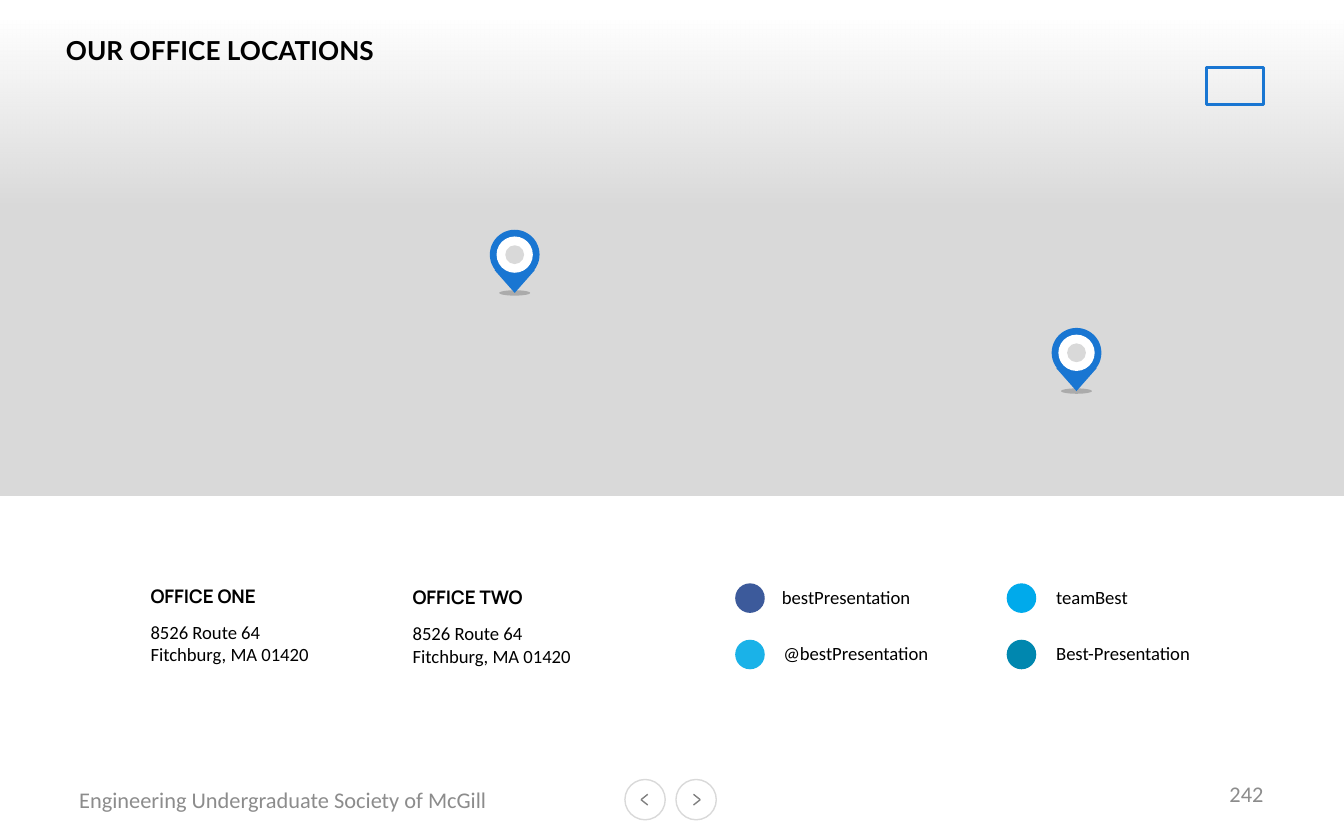
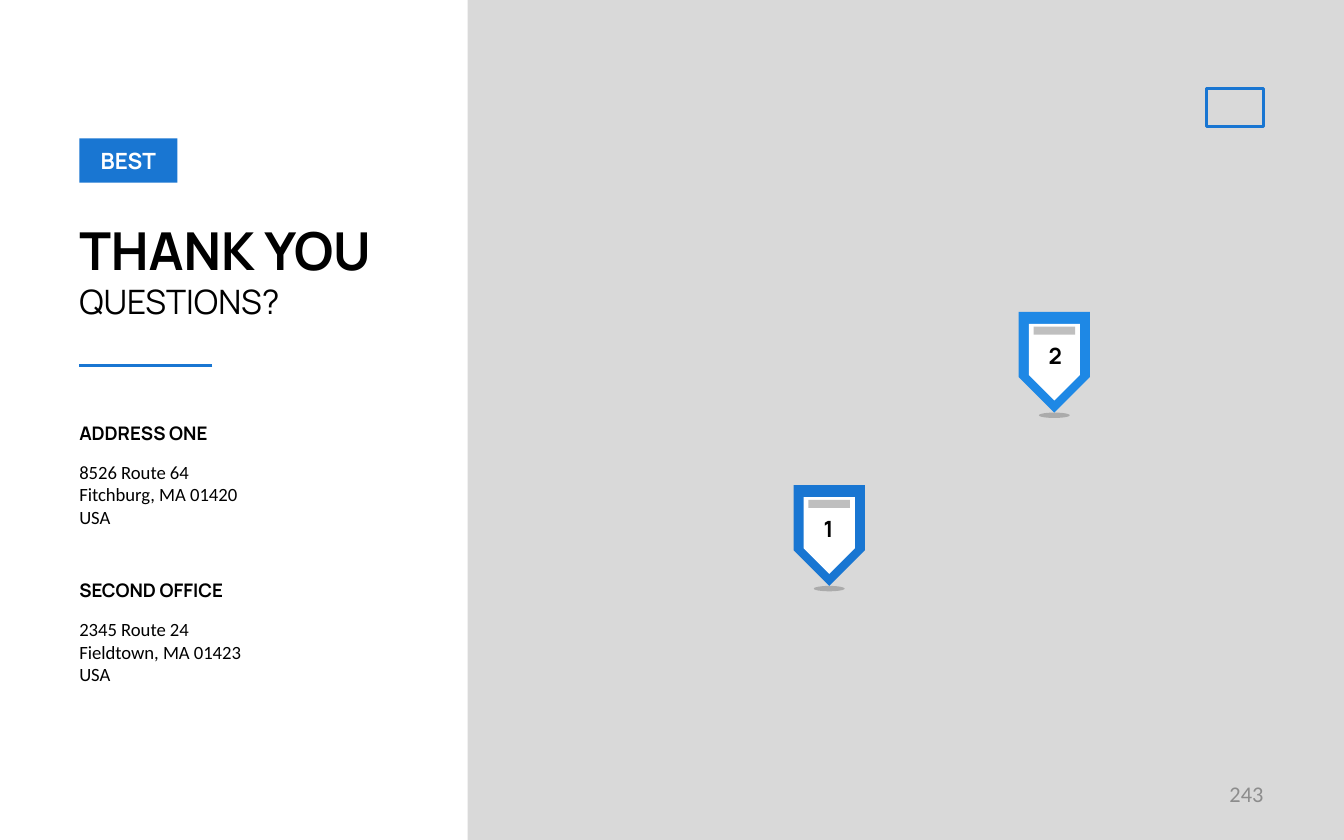
from dataclasses import dataclass

import pptx
import pptx.dml.color
import pptx.enum.dml
import pptx.enum.shapes
import pptx.enum.text
import pptx.oxml
import pptx.oxml.ns
import pptx.util
from lxml import etree

RGB = pptx.dml.color.RGBColor
Shape = pptx.enum.shapes.MSO_SHAPE
Anchor = pptx.enum.text.MSO_ANCHOR
Align = pptx.enum.text.PP_ALIGN
qn = pptx.oxml.ns.qn

BLACK = RGB(0x00, 0x00, 0x00)
WHITE = RGB(0xFF, 0xFF, 0xFF)
BLUE = RGB(0x19, 0x76, 0xD2)
SKY = RGB(0x1E, 0x88, 0xE5)
MAP = RGB(0xD9, 0xD9, 0xD9)
BAR = RGB(0xBF, 0xBF, 0xBF)
ARROW = RGB(0x80, 0x80, 0x80)
FOOT = RGB(0x8C, 0x8C, 0x8C)

# The slide is a grid of square cells, 100 columns by 62.5 rows.
CELL = pptx.util.Inches(0.1)
COLS, ROWS = 100, 62.5

PAD = (1, 0.5, 1, 0.5)
FLUSH = (0, 0.5, 1, 0.5)
BARE = (0, 0, 0, 0)


def grid(count: float) -> int:
    return pptx.util.Emu(round(count * CELL))


@dataclass(frozen=True)
class Box:
    left: float
    top: float
    wide: float
    high: float

    def place(self) -> tuple[int, ...]:
        return tuple(map(grid, (self.left, self.top, self.wide, self.high)))


@dataclass(frozen=True)
class Style:
    font: str
    size: float
    color: RGB
    bold: bool = False


@dataclass(frozen=True)
class Office:
    name: str
    lines: tuple[str, ...]
    left: float
    top: float
    wide: float
    gap: float
    body: float


@dataclass(frozen=True)
class Social:
    name: str
    color: RGB
    left: float
    top: float
    text: float
    wide: float


@dataclass(frozen=True)
class Shield:
    number: str
    color: RGB
    mid: float
    top: float
    wide: float


BODY = Style("Calibri", 10, BLACK)
HEAD = Style("Manrope", 10, BLACK, True)
SMALL = Style("Calibri", 12, FOOT)
TITLE = Style("Lato", 14, BLACK, True)
THANKS = Style("Manrope", 28, BLACK, True)
ASK = Style("Manrope", 18, BLACK)
MARK = Style("Manrope", 12, BLACK, True)
BADGE = Style("Manrope", 12, WHITE, True)

ROUTE = "8526 Route 64\nFitchburg, MA 01420"
OFFICES = (
    Office("OFFICE ONE", (ROUTE,), 11.2, 43, 9.1, 2.7, 13.9),
    Office("OFFICE TWO", (ROUTE,), 30.7, 43.1, 9.6, 2.7, 13.9),
)
HOMES = (
    Office("ADDRESS ONE", (ROUTE, "USA"), 5.9, 30.9, 10.7, 2.9, 23.6),
    Office("SECOND OFFICE", ("2345 Route 24\nFieldtown, MA 01423", "USA"),
           5.9, 42.6, 11.9, 2.9, 23.6),
)
SOCIALS = (
    Social("bestPresentation", RGB(0x3C, 0x5A, 0x9B), 54.7, 43.4, 57.2, 11.7),
    Social("@bestPresentation", RGB(0x1A, 0xB2, 0xE8), 54.7, 47.6, 57.3, 13),
    Social("teamBest", RGB(0x00, 0xAA, 0xEB), 74.9, 43.4, 77.6, 7.4),
    Social("Best-Presentation", RGB(0x00, 0x87, 0xAF), 74.9, 47.6, 77.6, 12.1),
)
PINS = ((38.3, 17.1), (80.1, 24.4))
SHIELDS = (
    Shield("1", BLUE, 61.7, 36.1, 2.8),
    Shield("2", SKY, 78.45, 23.2, 3),
)


def write(frame, parts: list[tuple[str, Style]], pad=PAD, align=Align.LEFT,
          anchor=Anchor.TOP, wrap: bool = True) -> None:
    """Fill a text frame, one paragraph per part; a newline is a line break."""
    frame.word_wrap = wrap
    frame.auto_size = pptx.enum.text.MSO_AUTO_SIZE.NONE
    frame.vertical_anchor = anchor
    (frame.margin_left, frame.margin_top,
     frame.margin_right, frame.margin_bottom) = map(grid, pad)
    for at, (text, style) in enumerate(parts):
        para = frame.add_paragraph() if at else frame.paragraphs[0]
        para.alignment = align
        for row, line in enumerate(text.split("\n")):
            if row:
                para.add_line_break()
            run = para.add_run()
            run.text = line
            run.font.name = style.font
            run.font.size = pptx.util.Pt(style.size)
            run.font.bold = style.bold
            run.font.color.rgb = style.color


def label(slide, box: Box, parts: list[tuple[str, Style]], **kind) -> None:
    write(slide.shapes.add_textbox(*box.place()).text_frame, parts, **kind)


def head(slide, box: Box, parts: list[tuple[str, Style]], **kind) -> None:
    """Set the title and lift it above the shapes drawn so far."""
    title = slide.shapes.title
    title.left, title.top, title.width, title.height = box.place()
    write(title.text_frame, parts, **kind)
    slide.shapes.element.append(title.element)


def fade(shape, share: int) -> None:
    """Set the opacity, in percent, of the last colour of a fill."""
    color = list(shape.element.iter(qn("a:srgbClr")))[-1]
    etree.SubElement(color, qn("a:alpha")).set("val", str(share * 1000))


def draw(slide, kind, box: Box, fill: RGB | None, edge: RGB | None = None,
         width: float = 0.75):
    shape = slide.shapes.add_shape(kind, *box.place())
    shape.shadow.inherit = False
    if fill is None:
        shape.fill.background()
    else:
        shape.fill.solid()
        shape.fill.fore_color.rgb = fill
    if edge is None:
        shape.line.fill.background()
    else:
        shape.line.color.rgb = edge
        shape.line.width = pptx.util.Pt(width)
    return shape


def disc(slide, mid: float, row: float, size: float, fill: RGB) -> None:
    draw(slide, Shape.OVAL, Box(mid - size / 2, row - size / 2, size, size), fill)


def rule(slide, start: tuple[float, float], end: tuple[float, float],
         color: RGB, width: float) -> None:
    line = slide.shapes.add_connector(
        pptx.enum.shapes.MSO_CONNECTOR.STRAIGHT, *map(grid, start + end))
    line.line.color.rgb = color
    line.line.width = pptx.util.Pt(width)
    etree.SubElement(line.element.find(qn("p:spPr")), qn("a:effectLst"))


def shade(slide, mid: float, top: float) -> None:
    fade(draw(slide, Shape.OVAL, Box(mid - 1.15, top, 2.3, 0.4), BLACK), 21)


def pin(slide, mid: float, top: float) -> None:
    shade(slide, mid, top + 4.5)
    row = top + 1.85
    disc(slide, mid, row, 3.7, BLUE)
    draw(slide, Shape.FLOWCHART_MERGE, Box(mid - 1.5, top + 3, 3, 1.7), BLUE)
    disc(slide, mid, row, 2.7, WHITE)
    disc(slide, mid, row, 1.4, MAP)


def shield(slide, item: Shield) -> None:
    mid, top = item.mid, item.top
    shade(slide, mid, top + 7.5)
    row = top + 3.75
    for long, wide, fill in ((7.5, 5.3, item.color), (5.7, 3.8, WHITE)):
        box = Box(mid - long / 2, row - wide / 2, long, wide)
        draw(slide, Shape.PENTAGON, box, fill).rotation = 90
    draw(slide, Shape.RECTANGLE, Box(mid - 1.55, top + 1.1, 3.1, 0.6), BAR)
    label(slide, Box(mid - 1.4, top + 1.75, item.wide, 3),
          [(item.number, MARK)], wrap=False)


def office(slide, item: Office) -> None:
    label(slide, Box(item.left, item.top, item.wide, 2.7),
          [(item.name, HEAD)], pad=FLUSH, wrap=False)
    count = sum(len(text.split("\n")) for text in item.lines)
    label(slide, Box(item.left, item.top + item.gap, item.body, 1 + 1.7 * count),
          [(text, BODY) for text in item.lines], pad=FLUSH)


def social(slide, item: Social) -> None:
    disc(slide, item.left + 1.1, item.top + 1.1, 2.2, item.color)
    label(slide, Box(item.text, item.top - 0.3, item.wide, 2.7),
          [(item.name, BODY)], wrap=False)


def frame(slide, page: int, top: float) -> None:
    """Draw what both slides share: the emblem's frame and the page number."""
    draw(slide, Shape.RECTANGLE, Box(89.8, top, 4.2, 2.8), None, BLUE, 1.5)
    label(slide, Box(71.7, 57.4, 23.3, 3.3), [(str(page), SMALL)],
          align=Align.RIGHT, anchor=Anchor.MIDDLE)


def footer(slide) -> None:
    label(slide, Box(4.9, 58, 33.9, 3), [("Engineering Undergraduate Society of McGill", SMALL)],
          anchor=Anchor.MIDDLE)
    for left, tip, tail in ((46.5, 47.7, 48.2), (50.3, 52.1, 51.6)):
        draw(slide, Shape.OVAL, Box(left, 58, 3, 3), WHITE, MAP)
        for end in (59.1, 59.9):
            rule(slide, (tip, 59.5), (tail, end), ARROW, 0.75)


def places(slide) -> None:
    footer(slide)
    draw(slide, Shape.RECTANGLE, Box(0, 1.5, COLS, 35.4), MAP)
    for mid, top in PINS:
        pin(slide, mid, top)
    veil = draw(slide, Shape.RECTANGLE, Box(0, 1.5, COLS, 13.9), WHITE)
    veil.fill.gradient()
    veil.fill.gradient_angle = 270
    for stop, at in zip(veil.fill.gradient_stops, (0, 1)):
        stop.color.rgb = WHITE
        stop.position = at
    fade(veil, 0)
    head(slide, Box(4.9, 1.6, 66.7, 4.3), [("OUR OFFICE LOCATIONS", TITLE)],
         pad=BARE, anchor=Anchor.MIDDLE)
    frame(slide, 242, 5)
    for item in OFFICES:
        office(slide, item)
    for item in SOCIALS:
        social(slide, item)


def thanks(slide) -> None:
    draw(slide, Shape.RECTANGLE, Box(0, 0, COLS, ROWS), MAP)
    draw(slide, Shape.RECTANGLE, Box(0, 0, 34.8, ROWS), WHITE)
    head(slide, Box(5.9, 15.7, 23.6, 8.8),
         [("THANK YOU", THANKS), ("QUESTIONS?", ASK)], pad=FLUSH)
    rule(slide, (15.8, 27.2), (5.9, 27.2), BLUE, 2)
    for item in HOMES:
        office(slide, item)
    badge = draw(slide, Shape.RECTANGLE, Box(5.9, 10.3, 7.3, 3.3), BLUE)
    write(badge.text_frame, [("BEST", BADGE)], align=Align.CENTER,
          anchor=Anchor.MIDDLE)
    for item in SHIELDS:
        shield(slide, item)
    frame(slide, 243, 6.6)


def main() -> None:
    deck = pptx.Presentation()
    deck.slide_width, deck.slide_height = grid(COLS), grid(ROWS)
    for build in (places, thanks):
        build(deck.slides.add_slide(deck.slide_layouts[5]))
    deck.save("out.pptx")


if __name__ == "__main__":
    main()
